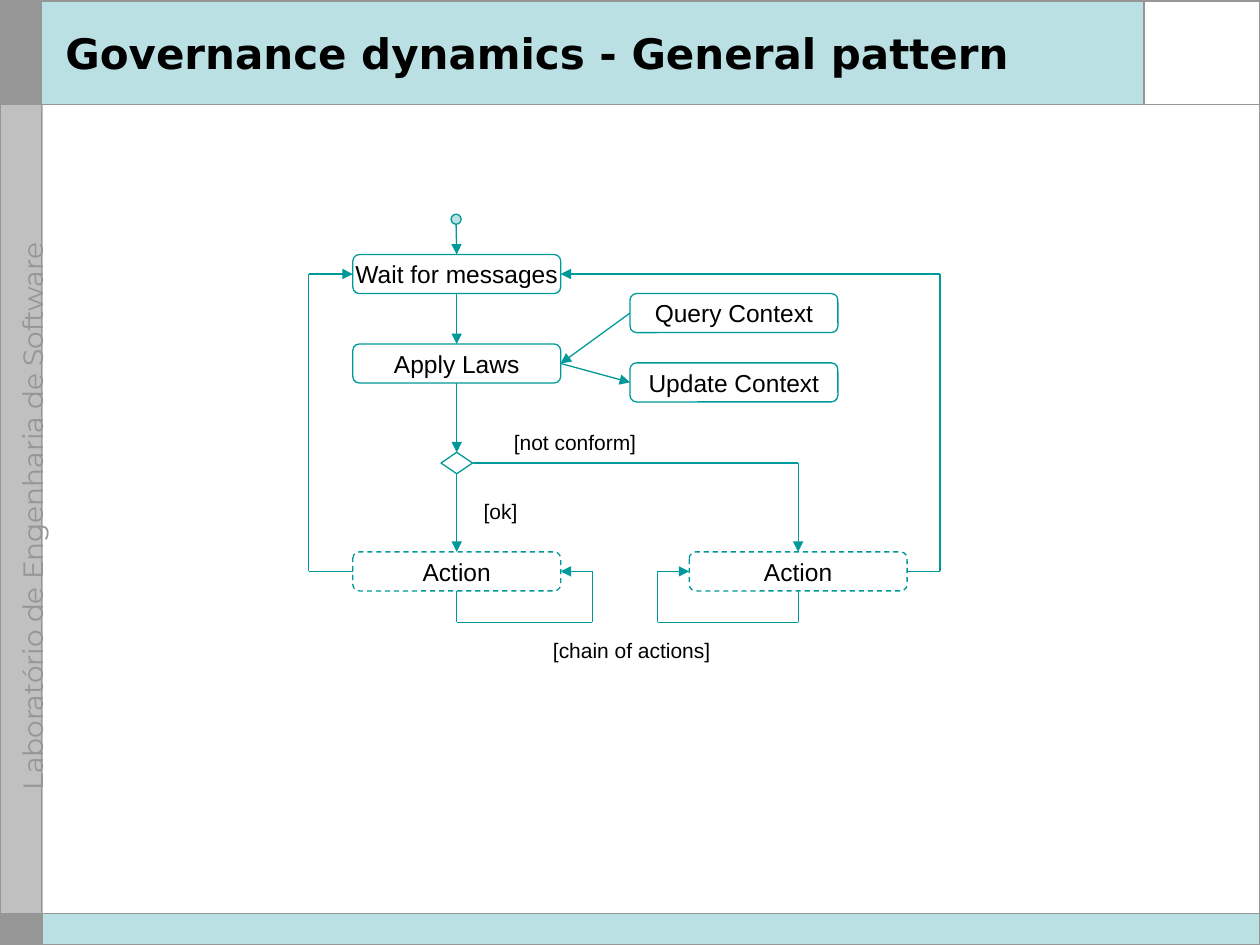
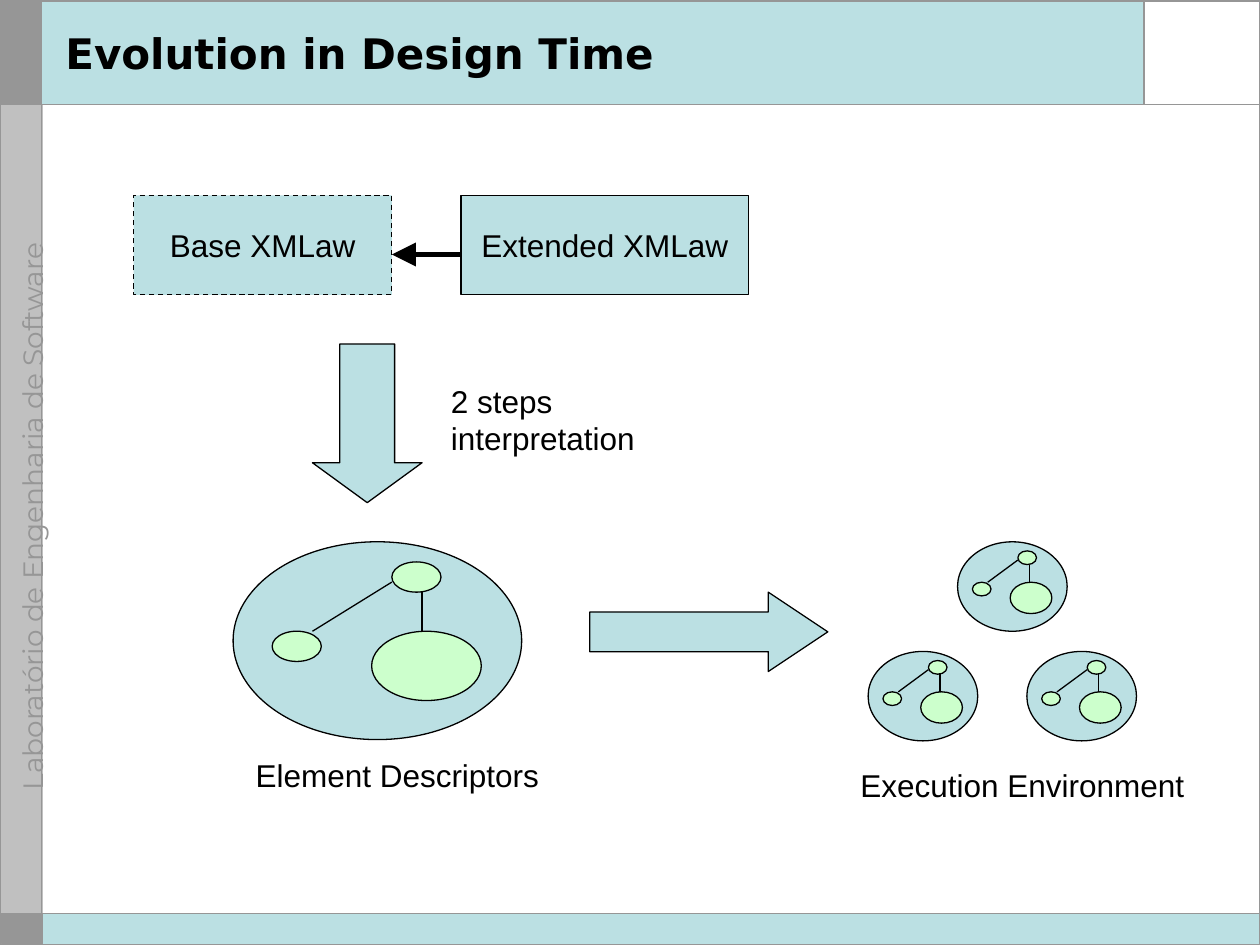
from itertools import pairwise

from lxml.etree import SubElement
from pptx import Presentation
from pptx.dml.color import RGBColor
from pptx.enum.dml import MSO_LINE
from pptx.enum.shapes import MSO_CONNECTOR, MSO_SHAPE as Preset
from pptx.enum.text import MSO_ANCHOR as Anchor, MSO_AUTO_SIZE as AutoSize, PP_ALIGN as Align
from pptx.oxml.ns import qn
from pptx.util import Inches, Pt

PALE, GREY, SILVER, WHITE = "BBE0E3", "969696", "C0C0C0", "FFFFFF"
TEAL, GREEN, BLACK = "009999", "CCFFCC", "000000"
LAB = "Laboratório de Engenharia de Software"
WIDTH, HEIGHT = 10, 7.5
SIDE, HEADER, FOOTER, CORNER = 0.33, 0.83, 7.25, 9.08

BANDS = [
    ((0.01, 0.01, SIDE, HEADER), GREY, GREY),
    ((SIDE, 0, WIDTH - SIDE, HEADER), PALE, None),
    ((0.01, HEADER, SIDE, FOOTER - HEADER), SILVER, SILVER),
    ((CORNER, 0, WIDTH - CORNER, HEADER), WHITE, None),
    ((SIDE, FOOTER, WIDTH - SIDE, HEIGHT - FOOTER), PALE, None),
    ((0.01, FOOTER, SIDE, 0.24), GREY, GREY),
]
RULES = [
    ((CORNER, 0), (CORNER, HEADER)),
    ((0, HEADER), (WIDTH, HEADER)),
    ((SIDE, 0), (SIDE, HEIGHT)),
    ((0, FOOTER), (WIDTH, FOOTER)),
]

STEPS = {
    "wait": ("Wait for messages", (2.8, 2.02, 1.65, 0.31), False),
    "apply": ("Apply Laws", (2.8, 2.73, 1.65, 0.31), False),
    "query": ("Query Context", (5, 2.33, 1.65, 0.31), False),
    "update": ("Update Context", (5, 2.88, 1.65, 0.31), False),
    "ok action": ("Action", (2.8, 4.38, 1.65, 0.31), True),
    "other action": ("Action", (5.47, 4.38, 1.73, 0.31), True),
}
MARKERS = {
    "start": (Preset.OVAL, (3.58, 1.7, 0.08, 0.08), PALE),
    "decision": (Preset.DIAMOND, (3.5, 3.59, 0.25, 0.17), None),
}
FLOWS = [
    ("start", "bottom", "wait", "top"),
    ("wait", "bottom", "apply", "top"),
    ("apply", "bottom", "decision", "top"),
    ("decision", "bottom", "ok action", "top"),
    ("query", "left", "apply", "right"),
    ("apply", "right", "update", "left"),
]
RETURNS = [
    ("ok action", "left", "wait", "left", 2.45),
    ("other action", "right", "wait", "right", 7.46),
]
CHAINS = [("ok action", "right", 4.7), ("other action", "left", 5.22)]
CHAIN_Y = 4.94
GUARDS = [
    ("[not conform]", (3.98, 3.36, 1.17, 0.3)),
    ("[ok]", (3.74, 3.91, 0.47, 0.3)),
    ("[chain of actions]", (4.29, 5.01, 1.45, 0.3)),
]

LAWS = [
    ("Base XMLaw", (1.06, 1.55, 2.05, 0.79), True),
    ("Extended XMLaw", (3.66, 1.55, 2.28, 0.79), False),
]
BLOCK_ARROWS = [
    (Preset.DOWN_ARROW, (2.48, 2.73, 0.87, 1.26), 0.364),
    (Preset.RIGHT_ARROW, (4.68, 4.7, 1.89, 0.63), 0.75),
]
CAPTIONS = [
    ("2 steps interpretation", (3.48, 2.98, 2.53, 0.4)),
    ("Element Descriptors", (1.93, 5.95, 2.45, 0.4)),
    ("Execution Environment", (6.73, 6.03, 2.77, 0.4)),
]
DESCRIPTOR_SIZE = (2.29, 1.57)
DESCRIPTOR_NODES = [(1.26, 0.16, 0.39, 0.24), (0.31, 0.71, 0.39, 0.24), (1.1, 0.71, 0.87, 0.55)]
DESCRIPTOR_LINKS = [((1.5, 0.4), (1.5, 0.71)), ((0.63, 0.71), (1.26, 0.32))]
DESCRIPTORS = [
    (1.85, 4.3, *DESCRIPTOR_SIZE),
    (6.89, 5.17, 0.87, 0.71),
    (7.6, 4.3, 0.87, 0.71),
    (8.15, 5.17, 0.87, 0.71),
]


def color(code):
    return RGBColor.from_string(code)


def inches(values):
    return [Inches(value) for value in values]


def write(shape, text, size, font="Arial", ink=BLACK, bold=False,
          align=Align.LEFT, anchor=Anchor.TOP, wrap=False, grow=False):
    frame = shape.text_frame
    frame.text = text
    frame.word_wrap = wrap
    frame.vertical_anchor = anchor
    if grow:
        frame.auto_size = AutoSize.SHAPE_TO_FIT_TEXT
    paragraph = frame.paragraphs[0]
    paragraph.alignment = align
    style = paragraph.runs[0].font
    style.name, style.size, style.bold = font, Pt(size), bold
    style.color.rgb = color(ink)


def label(shapes, text, box, size, **style):
    caption = shapes.add_textbox(*inches(box))
    write(caption, text, size, **style)
    return caption


def draw(shapes, preset, box, fill=None, line=None, weight=0.75, dashed=False):
    shape = shapes.add_shape(preset, *inches(box))
    shape.shadow.inherit = False
    if fill:
        shape.fill.solid()
        shape.fill.fore_color.rgb = color(fill)
    else:
        shape.fill.background()
    if line:
        shape.line.color.rgb = color(line)
        shape.line.width = Pt(weight)
        if dashed:
            shape.line.dash_style = MSO_LINE.DASH
    else:
        shape.line.fill.background()
    return shape


def route(shapes, points, ink, weight=0.75, head=None):
    for start, end in pairwise(points):
        segment = shapes.add_connector(MSO_CONNECTOR.STRAIGHT, *inches((*start, *end)))
        segment.line.color.rgb = color(ink)
        segment.line.width = Pt(weight)
        SubElement(segment._element.spPr, qn("a:effectLst"))
    if head:
        SubElement(segment.line._get_or_add_ln(), qn("a:tailEnd"),
                   type="triangle", w=head, len=head)


def port(name, side):
    x, y, w, h = (STEPS.get(name) or MARKERS[name])[1]
    return {
        "top": (x + w / 2, y),
        "bottom": (x + w / 2, y + h),
        "left": (x, y + h / 2),
        "right": (x + w, y + h / 2),
    }[side]


def start_slide(deck, title):
    shapes = deck.slides.add_slide(deck.slide_layouts[6]).shapes
    for box, fill, line in BANDS:
        draw(shapes, Preset.RECTANGLE, box, fill, line)
    lab = label(shapes, LAB, (-2.24, 3.88, 4.8, 0.18), 16, font="Montserrat", ink=GREY)
    lab.rotation = 270
    for rule in RULES:
        route(shapes, rule, GREY, 1)
    draw(shapes, Preset.RECTANGLE, (0, 0.01, WIDTH, 7.49), None, GREY, 1)
    label(shapes, title, (0.42, 0.11, 8.58, 0.62), 24, font="DejaVu Sans",
          bold=True, anchor=Anchor.MIDDLE, wrap=True)
    return shapes


def build_pattern(deck):
    shapes = start_slide(deck, "Governance dynamics - General pattern")
    for text, box, dashed in STEPS.values():
        step = draw(shapes, Preset.ROUNDED_RECTANGLE, box, None, TEAL, dashed=dashed)
        write(step, text, 14, align=Align.CENTER, anchor=Anchor.MIDDLE)
    for preset, box, fill in MARKERS.values():
        draw(shapes, preset, box, fill, TEAL)

    paths = [(port(a, out), port(b, into)) for a, out, b, into in FLOWS]
    for a, out, b, into, x in RETURNS:
        start, end = port(a, out), port(b, into)
        paths.append((start, (x, start[1]), (x, end[1]), end))
    for name, into, x in CHAINS:
        start, end = port(name, "bottom"), port(name, into)
        paths.append((start, (start[0], CHAIN_Y), (x, CHAIN_Y), (x, end[1]), end))
    start, end = port("decision", "right"), port("other action", "top")
    paths.append((start, (end[0], start[1]), end))
    for points in paths:
        route(shapes, points, TEAL, head="med")

    for text, box in GUARDS:
        label(shapes, text, box, 12, grow=True)


def add_descriptor(shapes, box):
    left, top, width, height = box
    sx, sy = width / DESCRIPTOR_SIZE[0], height / DESCRIPTOR_SIZE[1]
    group = shapes.add_group_shape().shapes
    draw(group, Preset.OVAL, box, PALE, BLACK)
    for x, y, w, h in DESCRIPTOR_NODES:
        draw(group, Preset.OVAL, (left + x * sx, top + y * sy, w * sx, h * sy), GREEN, BLACK)
    for link in DESCRIPTOR_LINKS:
        route(group, [(left + x * sx, top + y * sy) for x, y in link], BLACK)


def build_evolution(deck):
    shapes = start_slide(deck, "Evolution in Design Time")
    for text, box, dashed in LAWS:
        law = draw(shapes, Preset.RECTANGLE, box, PALE, BLACK, dashed=dashed)
        write(law, text, 18, align=Align.CENTER, anchor=Anchor.MIDDLE)
    route(shapes, [(3.66, 2.02), (3.11, 2.02)], BLACK, 2.75, head="lg")
    for preset, box, head in BLOCK_ARROWS:
        draw(shapes, preset, box, PALE, BLACK).adjustments[1] = head
    for box in DESCRIPTORS:
        add_descriptor(shapes, box)
    for text, box in CAPTIONS:
        label(shapes, text, box, 18, grow=True)


def main():
    deck = Presentation()
    deck.slide_width, deck.slide_height = inches((WIDTH, HEIGHT))
    build_pattern(deck)
    build_evolution(deck)
    deck.save("out.pptx")


if __name__ == "__main__":
    main()
